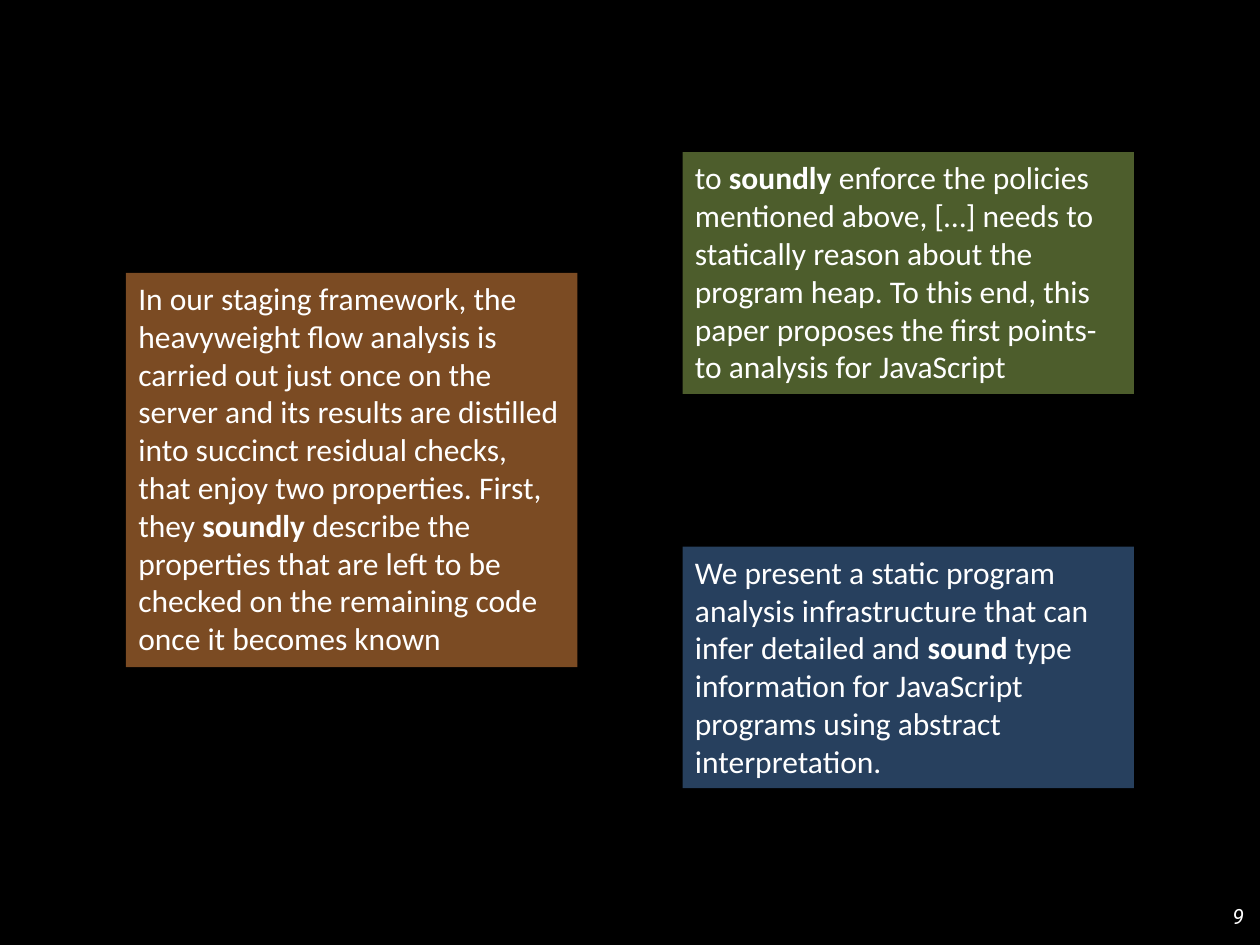
from lxml.etree import SubElement
from pptx import Presentation
from pptx.dml.color import RGBColor
from pptx.enum.shapes import MSO_SHAPE as Shape
from pptx.enum.text import MSO_ANCHOR as Anchor, MSO_AUTO_SIZE as AutoSize, PP_ALIGN as Align
from pptx.oxml.ns import qn
from pptx.util import Cm, Pt

COLORS = {
    "background": "000000",
    "text": "FFFFFF",
    "orange": "F79646",
    "green": "9BBB59",
    "blue": "4F81BD",
}
LEFT_COLUMN, RIGHT_COLUMN = 2.54, 13.76
QUOTE_WIDTH = 9.1

# color, left, top, height, (before, stressed, after)
QUOTES = [
    ("orange", LEFT_COLUMN, 5.5, 7.95, (
        "In our staging framework, the heavyweight flow analysis is carried out "
        "just once on the server and its results are distilled into succinct "
        "residual checks, that enjoy two properties. First, they ",
        "soundly",
        " describe the properties that are left to be checked on the remaining "
        "code once it becomes known")),
    ("green", RIGHT_COLUMN, 3.07, 4.87, (
        "to ",
        "soundly",
        " enforce the policies mentioned above, […] needs to statically reason "
        "about the program heap. To this end, this paper proposes the first "
        "points-to analysis for JavaScript")),
    ("blue", RIGHT_COLUMN, 11.02, 4.87, (
        "We present a static program analysis infrastructure that can infer "
        "detailed and ",
        "sound",
        " type information for JavaScript programs using abstract interpretation.")),
]


class QuoteSlide:
    body_font, number_font = "Calibri", "Roboto"

    def __init__(self, presentation):
        self.slide = presentation.slides.add_slide(presentation.slide_layouts[6])
        self.fill(self.slide.background, "background")

    def fill(self, target, color):
        target.fill.solid()
        target.fill.fore_color.rgb = RGBColor.from_string(COLORS[color])

    def style(self, run, name, size, bold=False, italic=False):
        font = run.font
        font.name, font.size = name, Pt(size)
        font.bold, font.italic = bold, italic
        font.color.rgb = RGBColor.from_string(COLORS["text"])

    def quote(self, color, left, top, height, parts):
        """Add a half-transparent box whose middle text part is bold."""
        shape = self.slide.shapes.add_shape(
            Shape.RECTANGLE, Cm(left), Cm(top), Cm(QUOTE_WIDTH), Cm(height))
        shape.shadow.inherit = False
        shape.line.fill.background()
        self.fill(shape, color)
        rgb = shape.fill._xPr.find(qn("a:solidFill")).find(qn("a:srgbClr"))
        SubElement(rgb, qn("a:alpha"), val="50000")

        frame = shape.text_frame
        frame.word_wrap = True
        frame.auto_size = AutoSize.SHAPE_TO_FIT_TEXT
        frame.vertical_anchor = Anchor.TOP
        paragraph = frame.paragraphs[0]
        paragraph.alignment = Align.LEFT
        for index, part in enumerate(parts):
            run = paragraph.add_run()
            run.text = part
            self.style(run, self.body_font, 18, bold=index == 1)

    def page_number(self, number):
        box = self.slide.shapes.add_textbox(Cm(19.41), Cm(17.96), Cm(5.92), Cm(1.02))
        frame = box.text_frame
        frame.word_wrap = True
        frame.vertical_anchor = Anchor.MIDDLE
        frame.text = str(number)
        paragraph = frame.paragraphs[0]
        paragraph.alignment = Align.RIGHT
        self.style(paragraph.runs[0], self.number_font, 12, italic=True)


def main():
    presentation = Presentation()
    presentation.slide_width, presentation.slide_height = Cm(25.4), Cm(19.05)
    page = QuoteSlide(presentation)
    for quote in QUOTES:
        page.quote(*quote)
    page.page_number(9)
    presentation.save("out.pptx")


if __name__ == "__main__":
    main()
